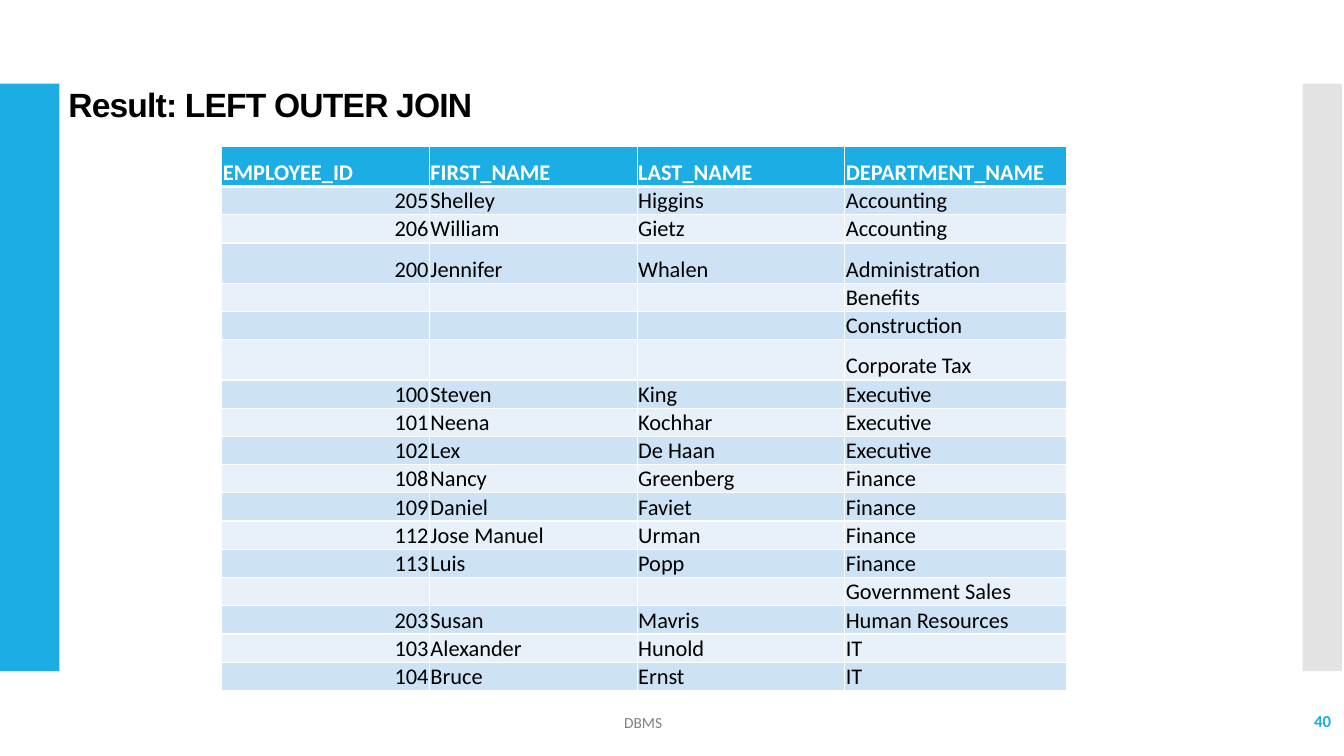
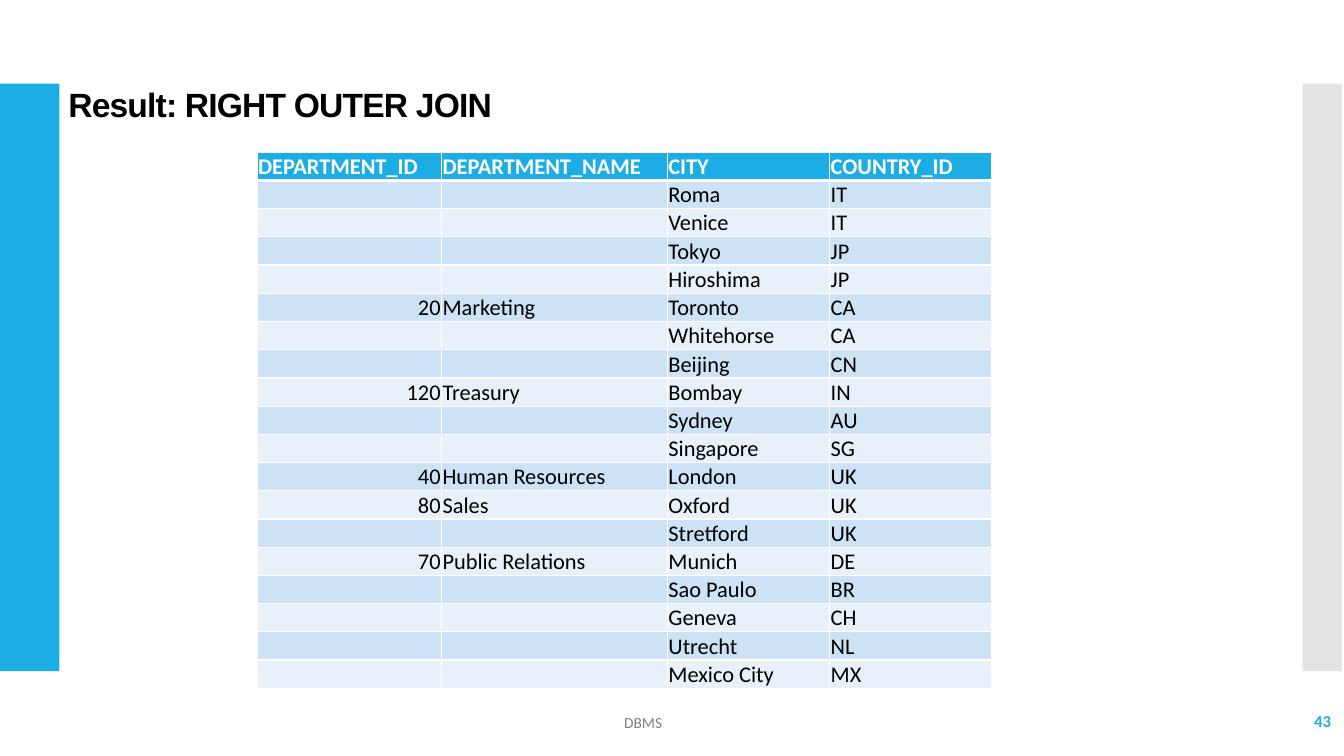
from dataclasses import dataclass

from lxml import etree
from pptx import Presentation
from pptx import util as u
from pptx.dml.color import RGBColor
from pptx.enum import shapes, text
from pptx.oxml.ns import qn


@dataclass(frozen=True)
class Theme:
    blue: str = "1CADE4"
    gray: str = "C8C8C8"
    mute: str = "808080"
    ink: str = "000000"
    white: str = "FFFFFF"
    bands: tuple = ("E8F1FA", "CDE3F5")
    head: str = "Arial"
    body: str = "Calibri"
    title: int = 24
    cell: int = 16
    page: int = 12
    foot: int = 11


def paint(fill, color):
    fill.solid()
    fill.fore_color.rgb = RGBColor.from_string(color)


class Deck:
    def __init__(self, theme):
        self.theme = theme
        self.prs = Presentation()
        self.prs.slide_width = u.Inches(13.33)
        self.prs.slide_height = u.Inches(7.5)
        self.slide = None

    def start(self, title, page):
        """Add a slide with its side bands, title and footer."""
        t = self.theme
        self.slide = self.prs.slides.add_slide(self.prs.slide_layouts[6])
        self.band(0, 0.59, t.blue)
        self.band(12.92, 0.39, t.gray, 50)
        par = self.label(title, (0.58, 0.86, 10.44, 0.4), t.title, t.ink,
                         name=t.head, bold=True)
        par.line_spacing = 0.9
        par.runs[0]._r.get_or_add_rPr().set("spc", "-60")
        self.label(str(page), (11.63, 6.95, 1.67, 0.4), t.page, t.blue,
                   bold=True, align=text.PP_ALIGN.RIGHT)
        self.label("DBMS", (3.15, 6.97, 6.46, 0.4), t.foot, t.mute,
                   align=text.PP_ALIGN.CENTER)

    def band(self, left, width, color, alpha=100):
        bar = self.slide.shapes.add_shape(
            shapes.MSO_SHAPE.RECTANGLE, u.Inches(left), u.Inches(0.83),
            u.Inches(width), u.Inches(5.83))
        bar.shadow.inherit = False
        bar.line.fill.background()
        paint(bar.fill, color)
        if alpha < 100:
            tint = bar._element.spPr.find(".//" + qn("a:srgbClr"))
            etree.SubElement(tint, qn("a:alpha"), val=str(alpha * 1000))

    def style(self, par, size, color, name=None, bold=False, align=None):
        par.alignment = align
        font = par.font
        font.size, font.bold = u.Pt(size), bold
        font.name = name or self.theme.body
        font.color.rgb = RGBColor.from_string(color)

    def label(self, words, box, size, color, **look):
        frame = self.slide.shapes.add_textbox(*map(u.Inches, box)).text_frame
        frame.word_wrap = True
        frame.vertical_anchor = text.MSO_ANCHOR.MIDDLE
        par = frame.paragraphs[0]
        par.text = words
        self.style(par, size, color, **look)
        return par

    def edge(self, cell, top, bottom):
        """Draw the four cell borders, with top and bottom widths in points."""
        props = cell._tc.get_or_add_tcPr()
        for side, width in zip("LRTB", (1, 1, top, bottom)):
            line = etree.SubElement(props, qn("a:ln" + side),
                                    w=str(u.Pt(width)))
            fill = etree.SubElement(line, qn("a:solidFill"))
            etree.SubElement(fill, qn("a:srgbClr"), val=self.theme.white)

    def table(self, left, top, widths, rows, tall=()):
        """Fill a table; the row numbers in tall get extra height."""
        heights = [0.4 if i in tall else 0.28 for i in range(len(rows))]
        grid = self.slide.shapes.add_table(
            len(rows), len(widths), u.Inches(left), u.Inches(top),
            u.Inches(sum(widths)), u.Inches(sum(heights))).table
        grid.horz_banding = False
        for col, width in zip(grid.columns, widths):
            col.width = u.Inches(width)
        for i, (row, height) in enumerate(zip(rows, heights)):
            grid.rows[i].height = u.Inches(height)
            for j, words in enumerate(row):
                self.cell(grid.cell(i, j), words, i, j)

    def cell(self, cell, words, i, j):
        t = self.theme
        head = i == 0
        cell.margin_left = cell.margin_right = cell.margin_top = u.Inches(0.01)
        cell.margin_bottom = 0
        cell.vertical_anchor = text.MSO_ANCHOR.BOTTOM
        self.edge(cell, 3 if i == 1 else 1, 3 if head else 1)
        paint(cell.fill, t.blue if head else t.bands[i % 2])
        par = cell.text_frame.paragraphs[0]
        if words:
            par.text = words
        right = j == 0 and not head
        self.style(par, t.cell, t.white if head else t.ink, bold=head,
                   align=text.PP_ALIGN.RIGHT if right else None)
        if not words:
            etree.SubElement(par._p, qn("a:endParaRPr"), sz=str(t.cell * 100))


STAFF = [
    ("EMPLOYEE_ID", "FIRST_NAME", "LAST_NAME", "DEPARTMENT_NAME"),
    ("205", "Shelley", "Higgins", "Accounting"),
    ("206", "William", "Gietz", "Accounting"),
    ("200", "Jennifer", "Whalen", "Administration"),
    ("", "", "", "Benefits"),
    ("", "", "", "Construction"),
    ("", "", "", "Corporate Tax"),
    ("100", "Steven", "King", "Executive"),
    ("101", "Neena", "Kochhar", "Executive"),
    ("102", "Lex", "De Haan", "Executive"),
    ("108", "Nancy", "Greenberg", "Finance"),
    ("109", "Daniel", "Faviet", "Finance"),
    ("112", "Jose Manuel", "Urman", "Finance"),
    ("113", "Luis", "Popp", "Finance"),
    ("", "", "", "Government Sales"),
    ("203", "Susan", "Mavris", "Human Resources"),
    ("103", "Alexander", "Hunold", "IT"),
    ("104", "Bruce", "Ernst", "IT"),
]

PLACES = [
    ("DEPARTMENT_ID", "DEPARTMENT_NAME", "CITY", "COUNTRY_ID"),
    ("", "", "Roma", "IT"),
    ("", "", "Venice", "IT"),
    ("", "", "Tokyo", "JP"),
    ("", "", "Hiroshima", "JP"),
    ("20", "Marketing", "Toronto", "CA"),
    ("", "", "Whitehorse", "CA"),
    ("", "", "Beijing", "CN"),
    ("120", "Treasury", "Bombay", "IN"),
    ("", "", "Sydney", "AU"),
    ("", "", "Singapore", "SG"),
    ("40", "Human Resources", "London", "UK"),
    ("80", "Sales", "Oxford", "UK"),
    ("", "", "Stretford", "UK"),
    ("70", "Public Relations", "Munich", "DE"),
    ("", "", "Sao Paulo", "BR"),
    ("", "", "Geneva", "CH"),
    ("", "", "Utrecht", "NL"),
    ("", "", "Mexico City", "MX"),
]


def main():
    deck = Deck(Theme())
    deck.start("Result: LEFT OUTER JOIN", 40)
    deck.table(2.2, 1.45, (2.06, 2.06, 2.06, 2.2), STAFF, tall=(0, 3, 6))
    deck.start("Result: RIGHT OUTER JOIN", 43)
    deck.table(2.55, 1.51, (1.83, 2.24, 1.61, 1.61), PLACES)
    deck.prs.save("out.pptx")


if __name__ == "__main__":
    main()
